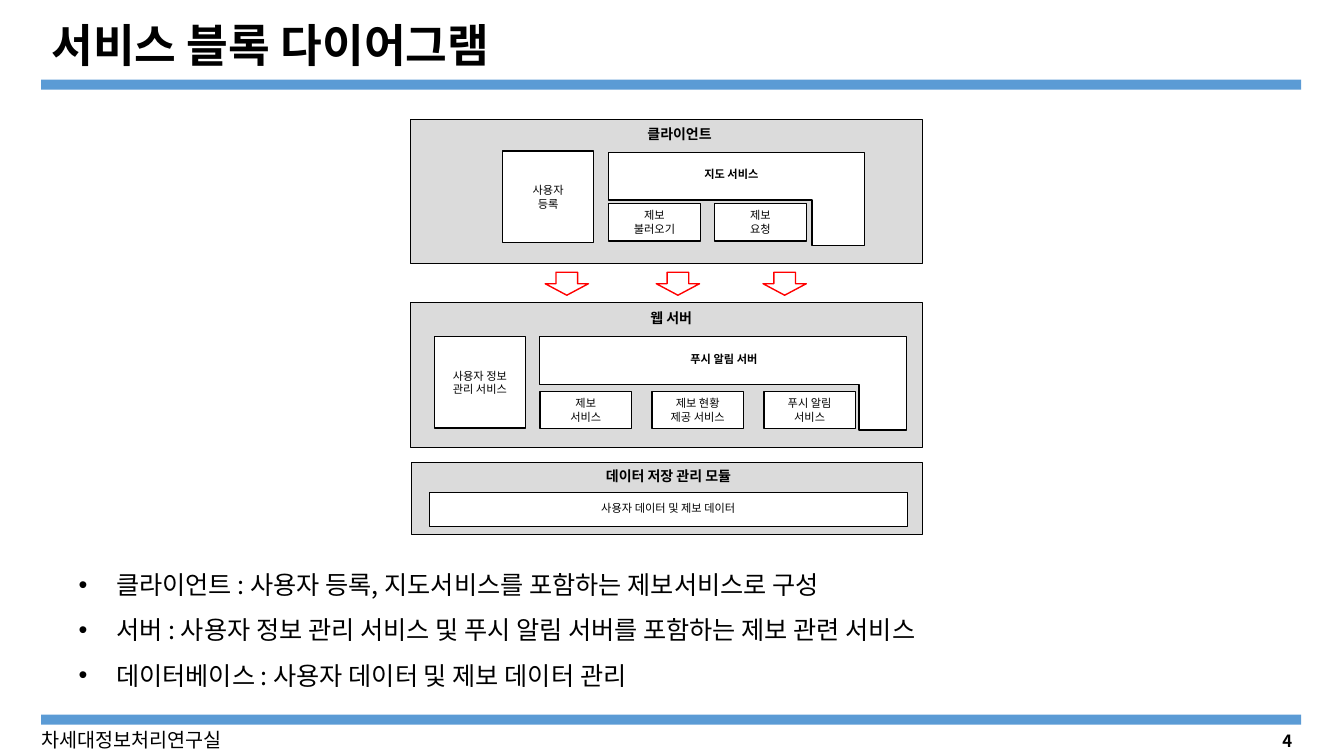
"""Builds the service block diagram slide."""
from lxml import etree
from pptx import Presentation
from pptx import util as u
from pptx.dml import color
from pptx.enum import shapes, text
from pptx.oxml import ns

FONT = "Noto Sans CJK KR"
BLACK, WHITE, GRAY, BLUE, RED = "000000", "FFFFFF", "DBDBDB", "5B9BD5", "FF0000"
SHAPE, ALIGN, ANCHOR = shapes.MSO_SHAPE, text.PP_ALIGN, text.MSO_ANCHOR


def paint(target, value):
    """Give a fill or a font fill one solid colour."""
    target.solid()
    target.fore_color.rgb = color.RGBColor.from_string(value)


def place(shape, left, top, width, height):
    """Move and size a shape in centimetres."""
    shape.left, shape.top = u.Cm(left), u.Cm(top)
    shape.width, shape.height = u.Cm(width), u.Cm(height)


def write(shape, lines, size, bold=False, align=ALIGN.CENTER, anchor=ANCHOR.MIDDLE, spacing=None):
    """Write one paragraph per line and return the paragraphs."""
    frame = shape.text_frame
    frame.word_wrap = True
    frame.auto_size = text.MSO_AUTO_SIZE.NONE
    frame.vertical_anchor = anchor
    for index, line in enumerate(lines):
        paragraph = frame.add_paragraph() if index else frame.paragraphs[0]
        paragraph.alignment = align
        paragraph.line_spacing = spacing
        run = paragraph.add_run()
        run.text = line
        run.font.size, run.font.bold, run.font.name = u.Pt(size), bold, FONT
        paint(run.font.fill, BLACK)
        etree.SubElement(run.font._rPr, ns.qn("a:ea"), typeface=FONT)
    return frame.paragraphs


def add_block(slide, box, fill=WHITE, line=BLACK, weight=1, kind=SHAPE.RECTANGLE, lines=()):
    """Add a preset shape with optional fill, outline and small text."""
    shape = slide.shapes.add_shape(kind, *map(u.Cm, box))
    shape.shadow.inherit = False
    if fill:
        paint(shape.fill, fill)
    else:
        shape.fill.background()
    if line:
        paint(shape.line.fill, line)
        shape.line.width = u.Pt(weight)
    else:
        shape.line.fill.background()
    if lines:
        write(shape, lines, 8)
    return shape


def add_corner(slide, box, thickness, leg):
    """Add an upside-down L shape."""
    shape = add_block(slide, box, kind=SHAPE.CORNER)
    shape.rotation = 180
    shape.adjustments[0], shape.adjustments[1] = thickness, leg


def add_label(slide, box, lines, size, **style):
    """Add a text box and return its paragraphs."""
    return write(slide.shapes.add_textbox(*map(u.Cm, box)), lines, size, **style)


def add_bullets(slide, box, lines):
    """Add a bulleted list with hanging indents."""
    paragraphs = add_label(slide, box, lines, 18, align=ALIGN.LEFT, anchor=ANCHOR.TOP, spacing=1.5)
    for paragraph in paragraphs:
        properties = paragraph._p.get_or_add_pPr()
        properties.set("marL", str(u.Cm(0.95)))
        properties.set("indent", str(-u.Cm(0.95)))
        etree.SubElement(properties, ns.qn("a:buFont"), typeface="Arial")
        etree.SubElement(properties, ns.qn("a:buChar"), char="•")


def add_frame(slide):
    """Add the title, the bars, the footer and the page number."""
    for top in (2.01, 18.01):
        add_block(slide, (1.04, top, 31.75, 0.25), fill=BLUE, line=None)
    title = slide.shapes.title
    place(title, 1.04, 0.41, 25.43, 1.57)
    write(title, ["서비스 블록 다이어그램"], 32.4, bold=True, align=ALIGN.LEFT, spacing=0.9)
    add_label(slide, (0.79, 18.21, 6.96, 0.86), ["차세대정보처리연구실"], 14,
              align=ALIGN.LEFT, anchor=ANCHOR.TOP)
    add_label(slide, (25.2, 18.29, 7.62, 0.76), ["4"], 12, bold=True, align=ALIGN.RIGHT)


def add_diagram(slide):
    """Add the client, server and data panels with their services."""
    panels = [
        (10.34, 3.02, 3.63, 13.44, 3.02, "클라이언트"),
        (10.34, 7.62, 3.66, 13.23, 7.67, "웹 서버"),
        (10.36, 11.66, 1.8, 13.16, 11.66, "데이터 저장 관리 모듈"),
    ]
    for left, top, height, label_left, label_top, name in panels:
        add_block(slide, (left, top, 12.9, height), fill=GRAY, weight=0.75)
        add_label(slide, (label_left, label_top, 7.37, 0.69), [name], 10, bold=True)

    add_corner(slide, (15.34, 3.84, 6.45, 2.34), 0.511, 0.566)
    add_corner(slide, (13.59, 8.48, 9.25, 2.36), 0.511, 0.506)
    for box, name in [((17.5, 4.09, 2.13, 0.61), "지도 서비스"),
                      ((17.15, 8.74, 5.41, 0.61), "푸시 알림 서버")]:
        add_label(slide, box, [name], 8, bold=True, align=ALIGN.LEFT)

    for left, top, lines in [(12.67, 3.81, ["사용자", "등록"]),
                             (10.95, 8.48, ["사용자 정보 관리 서비스"])]:
        add_block(slide, (left, top, 2.29, 2.31), lines=lines)

    rows = [
        (15.34, 5.13, 2.67, [["제보", "불러오기"], ["제보", "요청"]]),
        (13.61, 9.86, 2.82, [["제보", "서비스"], ["제보 현황", "제공 서비스"], ["푸시 알림", "서비스"]]),
    ]
    for left, top, step, services in rows:
        for index, lines in enumerate(services):
            add_block(slide, (left + index * step, top, 2.31, 0.94), lines=lines)

    add_block(slide, (10.82, 12.4, 12.04, 0.86), weight=0.75)
    add_label(slide, (13.16, 12.5, 7.37, 0.61), ["사용자 데이터 및 제보 데이터"], 8)
    for left in (13.74, 16.54, 19.23):
        add_block(slide, (left, 6.86, 1.09, 0.58), fill=None, line=RED, kind=SHAPE.DOWN_ARROW)


def main():
    """Build and save the presentation."""
    presentation = Presentation()
    presentation.slide_width, presentation.slide_height = u.Cm(33.87), u.Cm(19.05)
    slide = presentation.slides.add_slide(presentation.slide_layouts[5])
    add_frame(slide)
    add_diagram(slide)
    add_bullets(slide, (1.73, 13.84, 31.09, 3.58), [
        "클라이언트 : 사용자 등록, 지도서비스를 포함하는 제보서비스로 구성",
        "서버 : 사용자 정보 관리 서비스 및 푸시 알림 서버를 포함하는 제보 관련 서비스",
        "데이터베이스 : 사용자 데이터 및 제보 데이터 관리",
    ])
    presentation.save("out.pptx")


if __name__ == "__main__":
    main()
